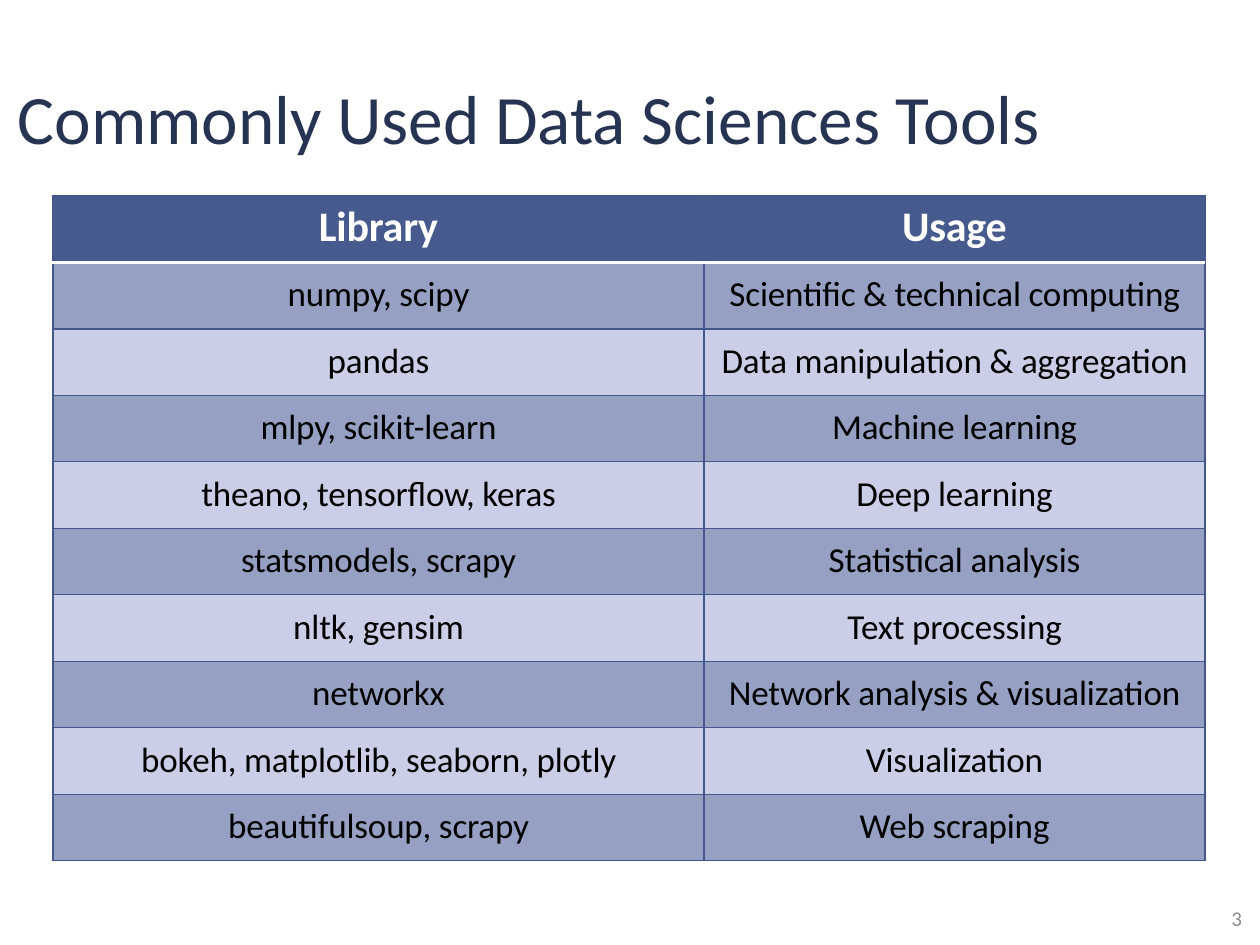
from lxml import etree
from pptx import Presentation
from pptx import util as u
from pptx.dml.color import RGBColor
from pptx.enum import text
from pptx.oxml import ns

PX_PER_INCH = 126
FONT = "Calibri"
NAVY = RGBColor(0x27, 0x33, 0x52)
HEADER_BLUE = RGBColor(0x47, 0x5A, 0x8D)
GRID_BLUE = RGBColor(0x44, 0x57, 0x8C)
DARK_BAND = RGBColor(0x95, 0xA0, 0xC3)
LIGHT_BAND = RGBColor(0xCA, 0xCE, 0xE7)
WHITE = RGBColor(0xFF, 0xFF, 0xFF)
BLACK = RGBColor(0x00, 0x00, 0x00)
GREY = RGBColor(0x8C, 0x8C, 0x8C)

TOOLS = [
    ("Library", "Usage"),
    ("numpy, scipy", "Scientific & technical computing"),
    ("pandas", "Data manipulation & aggregation"),
    ("mlpy, scikit-learn", "Machine learning"),
    ("theano, tensorflow, keras", "Deep learning"),
    ("statsmodels, scrapy", "Statistical analysis"),
    ("nltk, gensim", "Text processing"),
    ("networkx", "Network analysis & visualization"),
    ("bokeh, matplotlib, seaborn, plotly", "Visualization"),
    ("beautifulsoup, scrapy", "Web scraping"),
]
COLUMN_WIDTHS = (651, 501)
TABLE_HEIGHT = 665


def px(length):
    return u.Emu(round(length * u.Inches(1) / PX_PER_INCH))


def write(para, words, size, color, align, bold=False):
    para.alignment = align
    para.add_run().text = words
    font = para.font
    font.name, font.size, font.bold = FONT, u.Pt(size), bold
    font.color.rgb = color


def add_label(page, area, words, size, color, align, inset=None):
    box = page.shapes.add_textbox(*map(px, area))
    frame = box.text_frame
    frame.word_wrap = True
    frame.vertical_anchor = text.MSO_ANCHOR.MIDDLE
    if inset is not None:
        frame.margin_left = frame.margin_right = px(inset)
        frame.margin_top = frame.margin_bottom = px(inset)
    write(frame.paragraphs[0], words, size, color, align)


def set_border(cell, side, color, points):
    properties = cell._tc.get_or_add_tcPr()
    line = etree.SubElement(properties, ns.qn(f"a:ln{side}"), w=str(u.Pt(points)))
    fill = etree.SubElement(line, ns.qn("a:solidFill"))
    etree.SubElement(fill, ns.qn("a:srgbClr"), val=str(color))


def fill_cell(cell, words, row):
    header = row == 0
    cell.margin_left = cell.margin_right = cell.margin_bottom = 0
    cell.margin_top = px(6 if header else 11)
    for side in "LRTB":
        under_header = (side == "B" and row == 0) or (side == "T" and row == 1)
        color, points = (WHITE, 2) if under_header else (GRID_BLUE, 0.75)
        set_border(cell, side, color, points)
    cell.fill.solid()
    band = DARK_BAND if row % 2 else LIGHT_BAND
    cell.fill.fore_color.rgb = HEADER_BLUE if header else band
    para = cell.text_frame.paragraphs[0]
    size, color = (24, WHITE) if header else (20, BLACK)
    write(para, words, size, color, text.PP_ALIGN.CENTER, bold=header)
    para.runs[0]._r.get_or_add_rPr().set("spc", "-10")


def add_tools_table(page):
    frame = page.shapes.add_table(
        len(TOOLS), len(COLUMN_WIDTHS),
        px(53), px(196), px(sum(COLUMN_WIDTHS)), px(TABLE_HEIGHT),
    )
    table = frame.table
    for column, width in zip(table.columns, COLUMN_WIDTHS):
        column.width = px(width)
    for row, entries in enumerate(TOOLS):
        table.rows[row].height = px(TABLE_HEIGHT / len(TOOLS))
        for column, words in enumerate(entries):
            fill_cell(table.cell(row, column), words, row)


def main():
    deck = Presentation()
    deck.slide_width, deck.slide_height = px(1260), px(945)
    page = deck.slides.add_slide(deck.slide_layouts[6])
    add_label(page, (1213, 902, 29, 33), "3", 12, GREY,
              text.PP_ALIGN.RIGHT, inset=0)
    add_tools_table(page)
    add_label(page, (0, 38, 1058, 157), "Commonly Used Data Sciences Tools",
              39.6, NAVY, text.PP_ALIGN.CENTER)
    deck.save("out.pptx")


if __name__ == "__main__":
    main()
